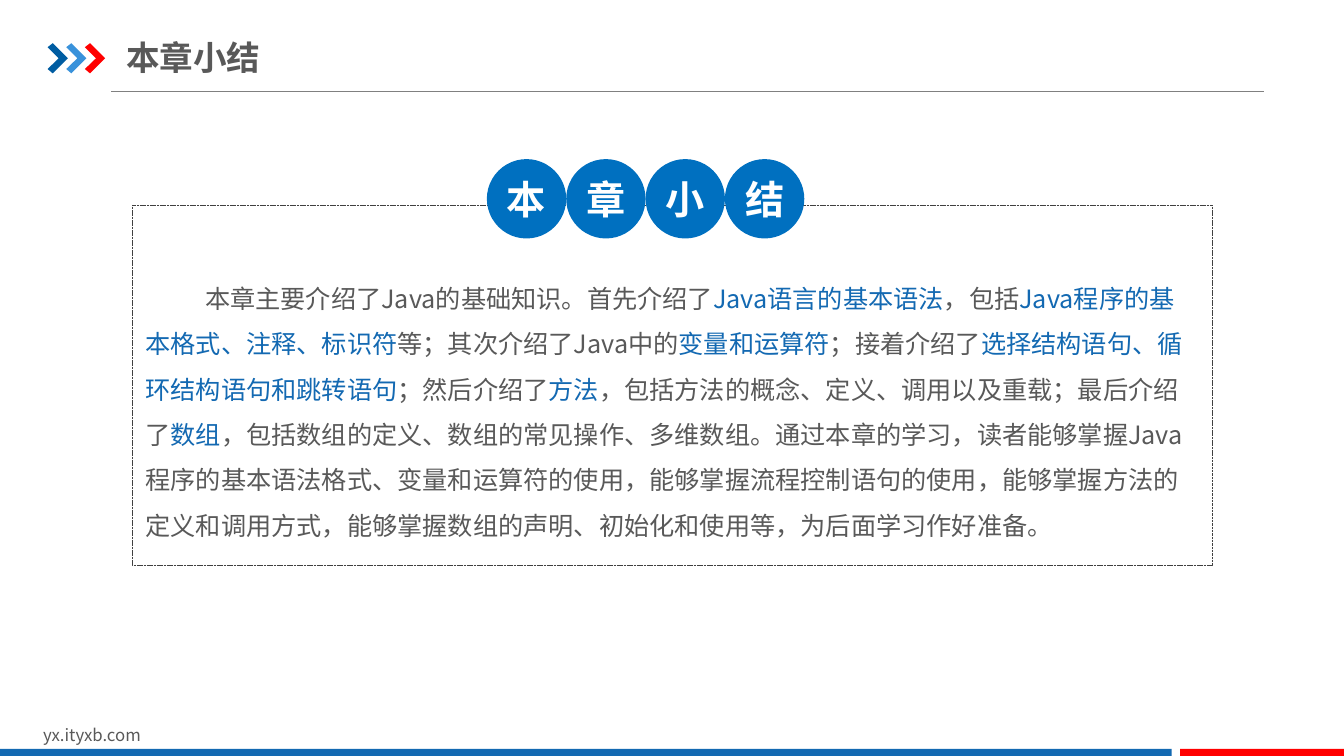
from dataclasses import dataclass

from lxml import etree
from pptx import Presentation
from pptx import util as u
from pptx.dml.color import RGBColor
from pptx.enum import dml, lang, shapes, text
from pptx.oxml.ns import qn
from pptx.util import Cm


@dataclass(frozen=True)
class Theme:
    font: str = "Noto Sans CJK SC"
    ink: str = "595959"
    blue: str = "1369B2"
    circle: str = "0070C0"
    red: str = "FF0000"
    white: str = "FFFFFF"
    rule: str = "808080"
    frame: str = "404040"
    chevrons: tuple = ("005DA2", "3992DB", "FF0000")
    title_size: int = 24
    body_size: int = 18
    badge_size: int = 28
    footer_size: int = 12


THEME = Theme()
HEADING = "本章小结"
# Each span is (wording, whether it is highlighted).
SUMMARY = [
    ("本章主要介绍了Java的基础知识。首先介绍了", False),
    ("Java语言的基本语法", True),
    ("，包括", False),
    ("Java程序的基本格式、注释、标识符", True),
    ("等；其次介绍了Java中的", False),
    ("变量和运算符", True),
    ("；接着介绍了", False),
    ("选择结构语句、循环结构语句和跳转语句", True),
    ("；然后介绍了", False),
    ("方法", True),
    ("，包括方法的概念、定义、调用以及重载；最后介绍了", False),
    ("数组", True),
    ("，包括数组的定义、数组的常见操作、多维数组。通过本章的学习，读者能够掌握"
     "Java程序的基本语法格式、变量和运算符的使用，能够掌握流程控制语句的使用，"
     "能够掌握方法的定义和调用方式，能够掌握数组的声明、初始化和使用等，"
     "为后面学习作好准备。", False),
]


def color(code):
    return RGBColor.from_string(code)


def add_span(para, wording, size, code, bold=False):
    span = para.add_run()
    span.text = wording
    font = span.font
    font.size, font.bold, font.name = u.Pt(size), bold, THEME.font
    font.color.rgb = color(code)
    font.language_id = lang.MSO_LANGUAGE_ID.SIMPLIFIED_CHINESE
    east_asian = etree.SubElement(span._r.get_or_add_rPr(), qn("a:ea"))
    east_asian.set("typeface", THEME.font)


def set_frame(frame, side, edge, anchor=text.MSO_ANCHOR.TOP,
              fit=text.MSO_AUTO_SIZE.NONE):
    """Set wrapping, insets in centimetres, anchor and fitting of a text frame."""
    frame.word_wrap = True
    frame.auto_size = fit
    frame.margin_left = frame.margin_right = Cm(side)
    frame.margin_top = frame.margin_bottom = Cm(edge)
    frame.vertical_anchor = anchor


def add_block(page, kind, left, top, width, height, fill):
    block = page.shapes.add_shape(kind, Cm(left), Cm(top), Cm(width), Cm(height))
    block.shadow.inherit = False
    block.fill.solid()
    block.fill.fore_color.rgb = color(fill)
    block.line.fill.background()
    return block


def add_rule(page, left, right, top):
    rule = page.shapes.add_connector(
        shapes.MSO_CONNECTOR.STRAIGHT, Cm(left), Cm(top), Cm(right), Cm(top))
    rule.line.color.rgb = color(THEME.rule)
    rule.line.width = u.Pt(0.75)
    etree.SubElement(rule._element.spPr, qn("a:effectLst"))


def add_chevron(page, left, top, fill):
    outline = [(0, 0.1), (0.13, 0), (0.51, 0.38), (0.13, 0.76), (0, 0.65), (0.28, 0.38)]
    points = [(Cm(left + x), Cm(top + y)) for x, y in outline]
    builder = page.shapes.build_freeform(*points[0])
    builder.add_line_segments(points[1:], close=True)
    chevron = builder.convert_to_shape()
    chevron.shadow.inherit = False
    chevron.fill.solid()
    chevron.fill.fore_color.rgb = color(fill)
    chevron.line.fill.background()


def set_title(page):
    title = page.shapes.title
    title.left, title.top, title.width, title.height = Cm(3.18), Cm(0.74), Cm(15.75), Cm(1.4)
    set_frame(title.text_frame, 0, 0.18, text.MSO_ANCHOR.MIDDLE)
    para = title.text_frame.paragraphs[0]
    para.alignment = text.PP_ALIGN.LEFT
    add_span(para, HEADING, THEME.title_size, THEME.ink, bold=True)


def add_text(page, left, top, width, height, side, edge, spans, size):
    """Add a one-paragraph text box that grows with its text; return the paragraph."""
    box = page.shapes.add_textbox(Cm(left), Cm(top), Cm(width), Cm(height))
    set_frame(box.text_frame, side, edge, fit=text.MSO_AUTO_SIZE.SHAPE_TO_FIT_TEXT)
    para = box.text_frame.paragraphs[0]
    for wording, highlighted in spans:
        add_span(para, wording, size, THEME.blue if highlighted else THEME.ink)
    return para


def add_dashed_frame(page, left, top, width, height):
    frame = page.shapes.add_shape(
        shapes.MSO_SHAPE.ROUNDED_RECTANGLE, Cm(left), Cm(top), Cm(width), Cm(height))
    frame.adjustments[0] = 0
    frame.shadow.inherit = False
    frame.fill.background()
    frame.line.color.rgb = color(THEME.frame)
    frame.line.width = u.Pt(0.25)
    frame.line.dash_style = dml.MSO_LINE.SQUARE_DOT


def add_badge(page, left, top, size, letter):
    badge = add_block(page, shapes.MSO_SHAPE.OVAL, left, top, size, size, THEME.circle)
    set_frame(badge.text_frame, 0, 0, text.MSO_ANCHOR.MIDDLE)
    para = badge.text_frame.paragraphs[0]
    para.alignment = text.PP_ALIGN.CENTER
    add_span(para, letter, THEME.badge_size, THEME.white, bold=True)


def main():
    deck = Presentation()
    deck.slide_width, deck.slide_height = Cm(33.87), Cm(19.05)
    page = deck.slides.add_slide(deck.slide_layouts.get_by_name("Title Only"))

    add_rule(page, 2.8, 31.86, 2.31)
    for index, fill in enumerate(THEME.chevrons):
        add_chevron(page, 1.2 + 0.47 * index, 1.09, fill)
    add_text(page, 0.84, 18.13, 8.08, 0.77, 0.25, 0.13,
             [("yx.ityxb.com", False)], THEME.footer_size)
    for left, width, fill in ((0, 29.53, THEME.blue), (29.74, 4.13, THEME.red)):
        add_block(page, shapes.MSO_SHAPE.RECTANGLE, left, 18.87, width, 0.22, fill)
    set_title(page)

    summary = add_text(page, 3.34, 6.58, 27.2, 7.27, 0.33, 0.18, SUMMARY, THEME.body_size)
    summary.line_spacing = 1.5
    summary._p.get_or_add_pPr().set("indent", str(Cm(1.5)))
    add_dashed_frame(page, 3.34, 5.16, 27.2, 9.09)
    for index, letter in enumerate(HEADING):
        add_badge(page, 12.27 + 2 * index, 4.01, 2, letter)

    deck.save("out.pptx")


if __name__ == "__main__":
    main()
